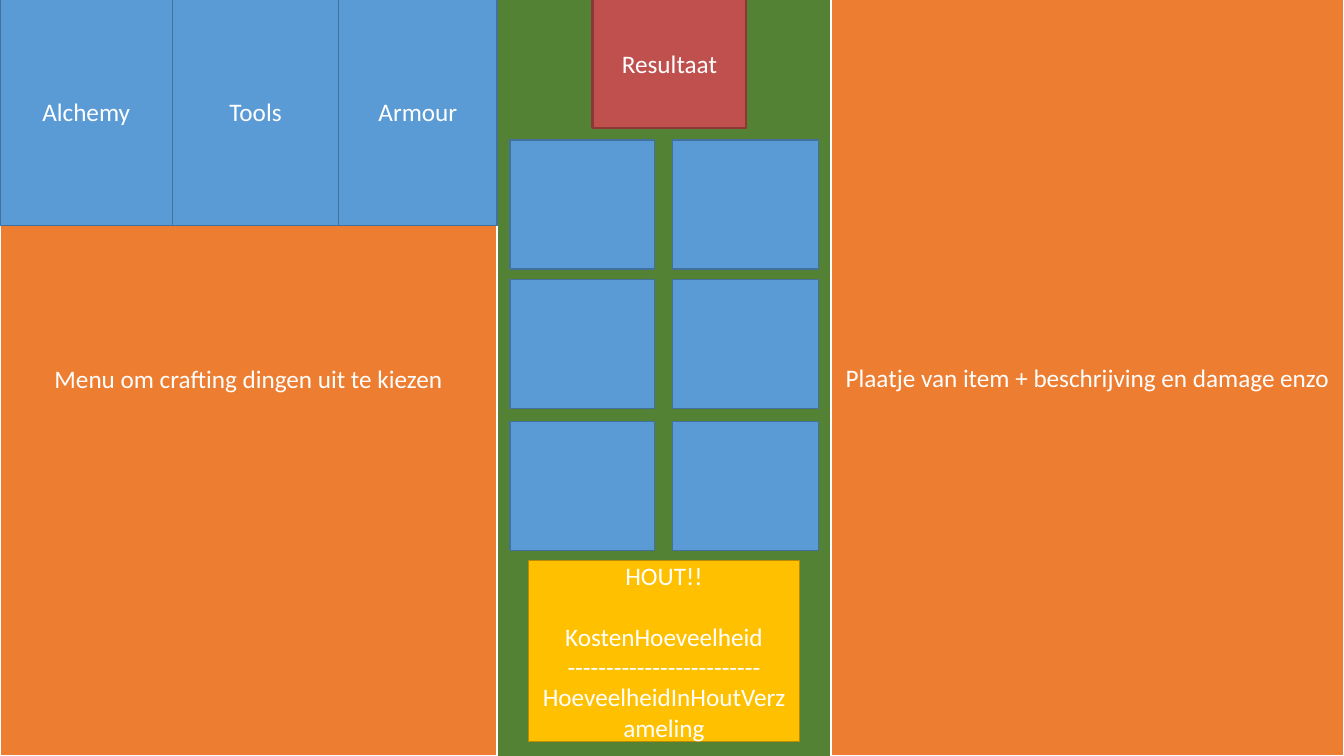
import pptx
import pptx.dml.color
import pptx.enum.shapes
import pptx.enum.text
import pptx.util
from pptx.util import Inches

COLORS = {
    "background": "548235",
    "text": "FFFFFF",
    "wood": "FFC000",
    "wood_line": "BC8C00",
    "slot": "5B9BD5",
    "slot_line": "41719C",
    "panel": "ED7D31",
    "panel_line": "FFFFFF",
    "result": "C0504D",
    "result_line": "8C3836",
}


def rgb(name):
    return pptx.dml.color.RGBColor.from_string(COLORS[name])


def add_block(page, kind, left, top, width, height, text="", line_width=1):
    """Add a filled, outlined rectangle with centred white text."""
    box = page.shapes.add_shape(
        pptx.enum.shapes.MSO_SHAPE.RECTANGLE,
        Inches(left), Inches(top), Inches(width), Inches(height))
    box.shadow.inherit = False
    box.fill.solid()
    box.fill.fore_color.rgb = rgb(kind)
    box.line.color.rgb = rgb(kind + "_line")
    box.line.width = pptx.util.Pt(line_width)
    if text:
        frame = box.text_frame
        frame.word_wrap = True
        frame.vertical_anchor = pptx.enum.text.MSO_ANCHOR.MIDDLE
        frame.text = text
        for para in frame.paragraphs:
            para.alignment = pptx.enum.text.PP_ALIGN.CENTER
            for span in para.runs:
                span.font.name = "Calibri"
                span.font.size = pptx.util.Pt(18)
                span.font.color.rgb = rgb("text")
    return box


deck = pptx.Presentation()
deck.slide_width = Inches(13.33)
deck.slide_height = Inches(7.5)
page = deck.slides.add_slide(deck.slide_layouts[6])
page.background.fill.solid()
page.background.fill.fore_color.rgb = rgb("background")

# Wood cost
wood = add_block(page, "wood", 5.24, 5.56, 2.69, 1.8, "\n".join([
    "HOUT!!", "KostenHoeveelheid", "-" * 25, "HoeveelheidInHoutVerzameling"]))
wood.text_frame.paragraphs[0].space_after = pptx.util.Pt(22)

# Crafting slots
for top in (1.39, 2.77, 4.18):
    for left, width in ((5.06, 1.43), (6.67, 1.45)):
        add_block(page, "slot", left, top, width, 1.28)

# Side panels
add_block(page, "panel", 0, 0, 4.93, 7.5,
          "Menu om crafting dingen uit te kiezen", 1.5)
add_block(page, "panel", 8.24, -0.01, 5.09, 7.51,
          "Plaatje van item + beschrijving en damage enzo", 1.5)

# Category tabs, side by side
left = 0
for label, width in (("Alchemy", 1.71), ("Tools", 1.65), ("Armour", 1.57)):
    add_block(page, "slot", left, -0.02, width, 2.26, label)
    left += width

add_block(page, "result", 5.88, -0.01, 1.52, 1.28, "Resultaat", 2)

deck.save("out.pptx")
